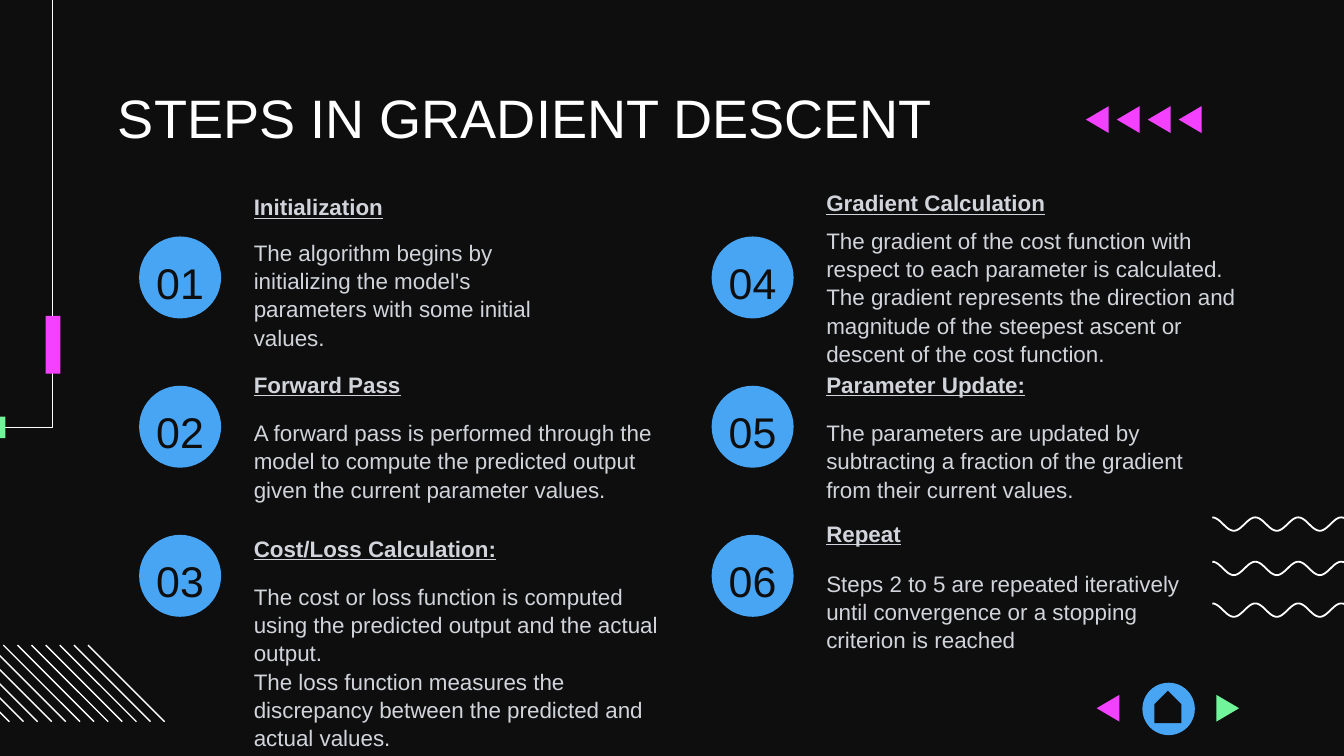
from dataclasses import dataclass
from math import cos, pi

from lxml import etree
from pptx import Presentation
from pptx.dml.color import RGBColor
from pptx.enum.shapes import MSO_CONNECTOR, MSO_SHAPE
from pptx.enum.text import PP_ALIGN
from pptx.oxml.ns import qn
from pptx.util import Inches, Pt

BLACK = RGBColor(0x0E, 0x0E, 0x0E)
WHITE = RGBColor(0xFF, 0xFF, 0xFF)
GREY = RGBColor(0xD1, 0xD5, 0xDB)
BLUE = RGBColor(0x47, 0xA5, 0xF3)
PINK = RGBColor(0xF3, 0x41, 0xFF)
GREEN = RGBColor(0x72, 0xF4, 0x9A)

OVAL, RECTANGLE, HOME_PLATE = MSO_SHAPE.OVAL, MSO_SHAPE.RECTANGLE, MSO_SHAPE.PENTAGON
STRAIGHT = MSO_CONNECTOR.STRAIGHT
LEFT, CENTER = PP_ALIGN.LEFT, PP_ALIGN.CENTER

WIDTH = 10
HEIGHT = WIDTH * 9 / 16
FONT = "Arial"

# Grid of steps: two columns filled downwards, three rows each
ROWS = 3
GRID_LEFT, GRID_TOP = 0.89, 1.68
COLUMN_PITCH, ROW_PITCH = 4.26, 1.11
NUMBER_WIDTH, NUMBER_HEIGHT = 0.9, 0.61
DISC = 0.61
ARROW_WIDTH, ARROW_HEIGHT = 0.17, 0.2

Point = tuple[float, float]


@dataclass(frozen=True)
class Step:
    heading: str
    heading_top: float
    body: tuple[str, ...]
    body_top: float
    body_width: float


@dataclass(frozen=True)
class Style:
    size: float
    color: RGBColor
    align: PP_ALIGN = LEFT
    bold: bool = False
    underline: bool = False
    spacing: float = 1.0
    after: float = 0
    top_inset: float = 0


TITLE = Style(29, WHITE, top_inset=0.04)
NUMBER = Style(23, BLACK, CENTER, top_inset=0.23)
HEADING = Style(12, GREY, bold=True, underline=True, spacing=1.15, after=12)
BODY = Style(12, GREY, spacing=1.05)

STEPS = [
    Step("Initialization", 1.41,
         ("The algorithm begins by initializing the model's parameters with "
          "some initial values.",), 1.77, 2.57),
    Step("Forward Pass", 2.73,
         ("A forward pass is performed through the model to compute the "
          "predicted output given the current parameter values.",), 3.11, 3.21),
    Step("Cost/Loss Calculation:", 3.95,
         ("The cost or loss function is computed using the predicted output "
          "and the actual output.",
          "The loss function measures the discrepancy between the predicted "
          "and actual values."), 4.33, 3.36),
    Step("Gradient Calculation", 1.38,
         ("The gradient of the cost function with respect to each parameter is "
          "calculated. The gradient represents the direction and magnitude of "
          "the steepest ascent or descent of the cost function.",), 1.68, 3.44),
    Step("Parameter Update:", 2.73,
         ("The parameters are updated by subtracting a fraction of the gradient "
          "from their current values.",), 3.11, 3.16),
    Step("Repeat", 3.84,
         ("Steps 2 to 5 are repeated iteratively until convergence or a "
          "stopping criterion is reached",), 4.23, 3.1),
]


def add_text(shapes, left: float, top: float, width: float, height: float,
             paragraphs: tuple[str, ...], style: Style) -> None:
    box = shapes.add_textbox(Inches(left), Inches(top), Inches(width), Inches(height))
    frame = box.text_frame
    frame.word_wrap = True
    frame.margin_left = frame.margin_right = frame.margin_bottom = Inches(0.1)
    frame.margin_top = Inches(style.top_inset)
    frame.text = "\n".join(paragraphs)
    for paragraph in frame.paragraphs:
        paragraph.alignment = style.align
        paragraph.line_spacing = style.spacing
        paragraph.space_after = Pt(style.after)
        font = paragraph.font
        font.name, font.size = FONT, Pt(style.size)
        font.bold, font.underline = style.bold, style.underline
        font.color.rgb = style.color


def paint(shape, color: RGBColor) -> None:
    shape.shadow.inherit = False
    shape.fill.solid()
    shape.fill.fore_color.rgb = color
    shape.line.fill.background()


def add_solid(shapes, kind: MSO_SHAPE, left: float, top: float, width: float,
              height: float, color: RGBColor, rotation: float = 0) -> None:
    shape = shapes.add_shape(kind, Inches(left), Inches(top), Inches(width), Inches(height))
    shape.rotation = rotation
    paint(shape, color)


def add_outline(shapes, points: list[Point], closed: bool):
    start, *rest = [(Inches(x), Inches(y)) for x, y in points]
    builder = shapes.build_freeform(*start)
    builder.add_line_segments(rest, close=closed)
    return builder.convert_to_shape()


def add_path(shapes, points: list[Point], weight: float) -> None:
    path = add_outline(shapes, points, closed=False)
    path.shadow.inherit = False
    path.fill.background()
    path.line.color.rgb = WHITE
    path.line.width = Pt(weight)


def add_arrow(shapes, base: float, tip: float, top: float, color: RGBColor) -> None:
    """Draw a triangle with a vertical base, pointing towards tip."""
    corners = [(base, top), (tip, top + ARROW_HEIGHT / 2), (base, top + ARROW_HEIGHT)]
    paint(add_outline(shapes, corners, closed=True), color)


def add_decor(shapes) -> None:
    period, depth, samples = 0.32, 0.1, 24
    for top in (3.85, 4.18, 4.49):
        add_path(shapes, [(9.02 + period * i / samples,
                           top + depth / 2 * (1 - cos(2 * pi * i / samples)))
                          for i in range(samples * 7 // 2 + 1)], 0.95)

    hatch_top, hatch_size = 4.8, 0.57
    for i in range(12):
        left = -0.5 + i * 1.05 / 10
        stripe = shapes.add_connector(STRAIGHT, Inches(left), Inches(hatch_top),
                                      Inches(left + hatch_size),
                                      Inches(hatch_top + hatch_size))
        stripe.line.color.rgb = WHITE
        stripe.line.width = Pt(0.75)
        etree.SubElement(stripe._element.spPr, qn("a:effectLst"))

    add_path(shapes, [(-3.93, 3.18), (0.39, 3.18), (0.39, -0.22)], 0.75)
    add_solid(shapes, RECTANGLE, -0.12, 3.1, 0.16, 0.16, GREEN)
    add_solid(shapes, RECTANGLE, 0.34, 2.35, 0.11, 0.43, PINK)


def add_step(shapes, index: int, step: Step) -> None:
    column, row = divmod(index, ROWS)
    left = GRID_LEFT + column * COLUMN_PITCH
    top = GRID_TOP + row * ROW_PITCH
    text_left = left + NUMBER_WIDTH
    add_solid(shapes, OVAL, left + (NUMBER_WIDTH - DISC) / 2, top + 0.08, DISC, DISC, BLUE)
    add_text(shapes, left, top, NUMBER_WIDTH, NUMBER_HEIGHT, (f"{index + 1:02}",), NUMBER)
    add_text(shapes, text_left, step.heading_top, 3.44, 0.39, (step.heading,), HEADING)
    add_text(shapes, text_left, step.body_top, step.body_width, 0.7, step.body, BODY)


def add_navigation(shapes) -> None:
    add_solid(shapes, OVAL, 8.5, 5.08, 0.39, 0.39, BLUE)
    add_solid(shapes, HOME_PLATE, 8.57, 5.16, 0.24, 0.2, BLACK, rotation=270)
    add_arrow(shapes, 8.16 + ARROW_WIDTH, 8.16, 5.17, PINK)
    add_arrow(shapes, 9.05, 9.05 + ARROW_WIDTH, 5.17, GREEN)


def main() -> None:
    deck = Presentation()
    deck.slide_width, deck.slide_height = Inches(WIDTH), Inches(HEIGHT)
    slide = deck.slides.add_slide(deck.slide_layouts[6])
    slide.background.fill.solid()
    slide.background.fill.fore_color.rgb = BLACK
    shapes = slide.shapes

    add_decor(shapes)
    add_text(shapes, 0.78, 0.59, 8.44, 0.46, ("STEPS IN GRADIENT DESCENT",), TITLE)
    for index, step in enumerate(STEPS):
        add_step(shapes, index, step)
    for i in range(4):
        tip = 8.08 + i * 0.23
        add_arrow(shapes, tip + ARROW_WIDTH, tip, 0.79, PINK)
    add_navigation(shapes)
    deck.save("out.pptx")


if __name__ == "__main__":
    main()
